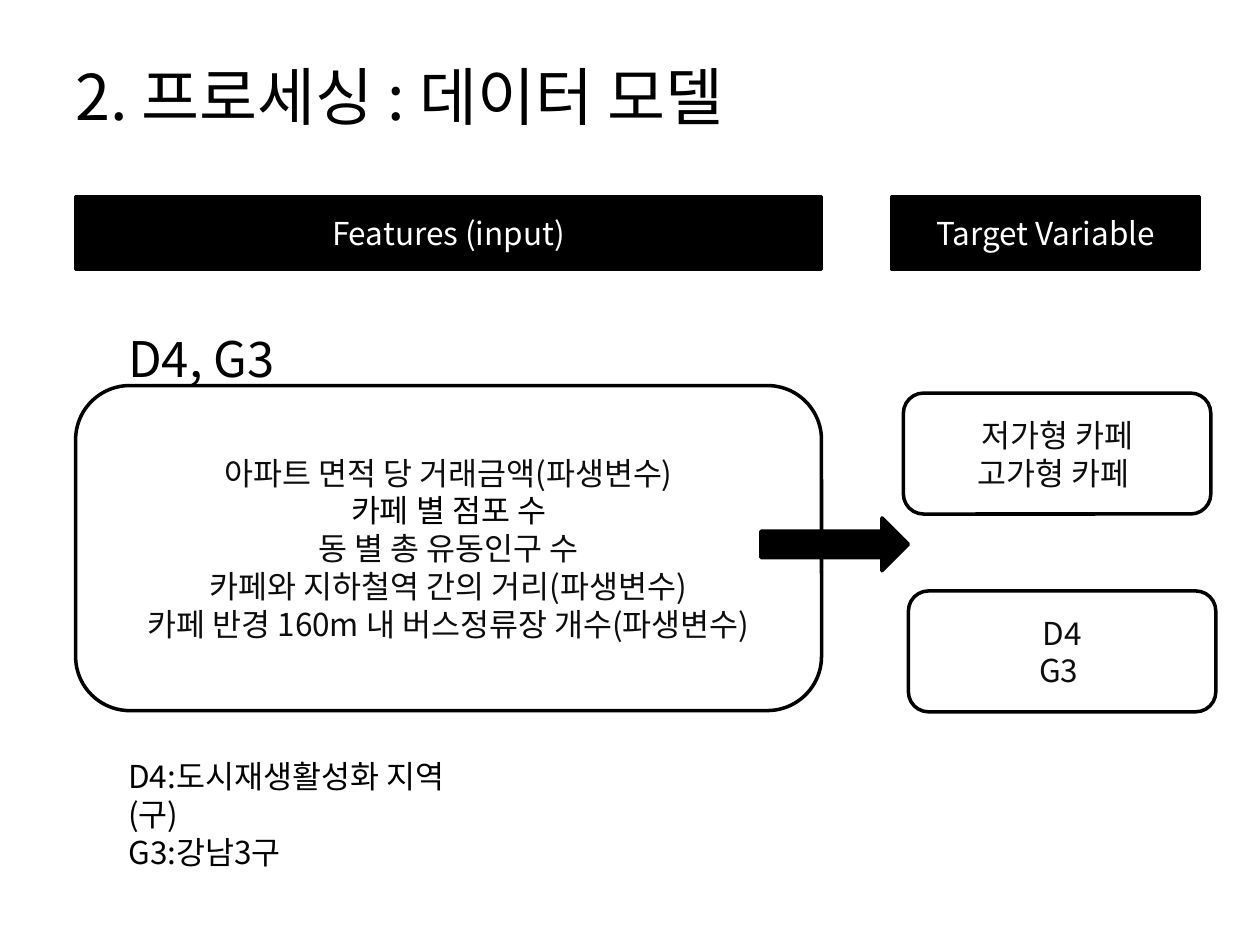
from lxml.etree import SubElement
from pptx import Presentation
from pptx.dml.color import RGBColor
from pptx.enum.shapes import MSO_SHAPE
from pptx.enum.text import MSO_ANCHOR, MSO_AUTO_SIZE, PP_ALIGN
from pptx.oxml.ns import qn
from pptx.util import Emu, Pt

PX = 9144
FONT = "Noto Sans CJK KR"
BLACK = RGBColor(0x00, 0x00, 0x00)
INK = RGBColor(0x0D, 0x0D, 0x0D)
WHITE = RGBColor(0xFF, 0xFF, 0xFF)

FEATURES = [
    "아파트 면적 당 거래금액(파생변수)",
    "카페 별 점포 수",
    "동 별 총 유동인구 수",
    "카페와 지하철역 간의 거리(파생변수)",
    "카페 반경 160m 내 버스정류장 개수(파생변수)",
]


def px(*lengths):
    return [Emu(length * PX) for length in lengths]


def write_lines(frame, lines, size, color, align):
    frame.word_wrap = True
    frame.text = "\n".join(lines)
    for paragraph in frame.paragraphs:
        paragraph.alignment = align
        for run in paragraph.runs:
            run.font.size = Pt(size)
            run.font.name = FONT
            run.font.color.rgb = color
            east_asian = SubElement(run.font._element, qn("a:ea"))
            east_asian.set("typeface", FONT)


def add_label(slide, box, lines, size):
    label = slide.shapes.add_textbox(*px(*box))
    write_lines(label.text_frame, lines, size, BLACK, PP_ALIGN.LEFT)
    label.text_frame.auto_size = MSO_AUTO_SIZE.SHAPE_TO_FIT_TEXT


def add_block(slide, preset, box, fill):
    block = slide.shapes.add_shape(preset, *px(*box))
    block.shadow.inherit = False
    block.fill.solid()
    block.fill.fore_color.rgb = fill
    block.line.color.rgb = BLACK
    block.line.width = Pt(2)
    return block


def add_text_block(slide, preset, box, fill, lines, color):
    block = add_block(slide, preset, box, fill)
    block.text_frame.vertical_anchor = MSO_ANCHOR.MIDDLE
    write_lines(block.text_frame, lines, 18, color, PP_ALIGN.CENTER)
    return block


def add_header(slide, left, width, title):
    add_text_block(slide, MSO_SHAPE.RECTANGLE, (left, 156, width, 58),
                   BLACK, [title], WHITE)


def add_card(slide, box, lines):
    return add_text_block(slide, MSO_SHAPE.ROUNDED_RECTANGLE, box,
                          WHITE, lines, INK)


def main():
    presentation = Presentation()
    presentation.slide_width, presentation.slide_height = px(1000, 750)
    slide = presentation.slides.add_slide(presentation.slide_layouts[6])

    add_label(slide, (50, 41, 775, 71), ["2. 프로세싱 : 데이터 모델"], 36)
    add_header(slide, 60, 592, "Features (input)")
    add_header(slide, 708, 244, "Target Variable")

    features = add_card(slide, (60, 306, 592, 258), FEATURES)
    shop_count = features.text_frame.paragraphs[1]
    shop_count.runs[0].font.color.rgb = BLACK
    add_card(slide, (717, 312, 244, 96), ["저가형 카페", "고가형 카페 "])

    add_label(slide, (92, 256, 142, 57), ["D4, G3"], 28)
    add_label(slide, (92, 596, 292, 71),
              ["D4:도시재생활성화 지역(구)", "G3:강남3구"], 18)
    add_block(slide, MSO_SHAPE.RIGHT_ARROW, (604, 411, 117, 42), BLACK)
    add_card(slide, (721, 469, 244, 96), ["D4", "G3 "])

    presentation.save("out.pptx")


if __name__ == "__main__":
    main()
